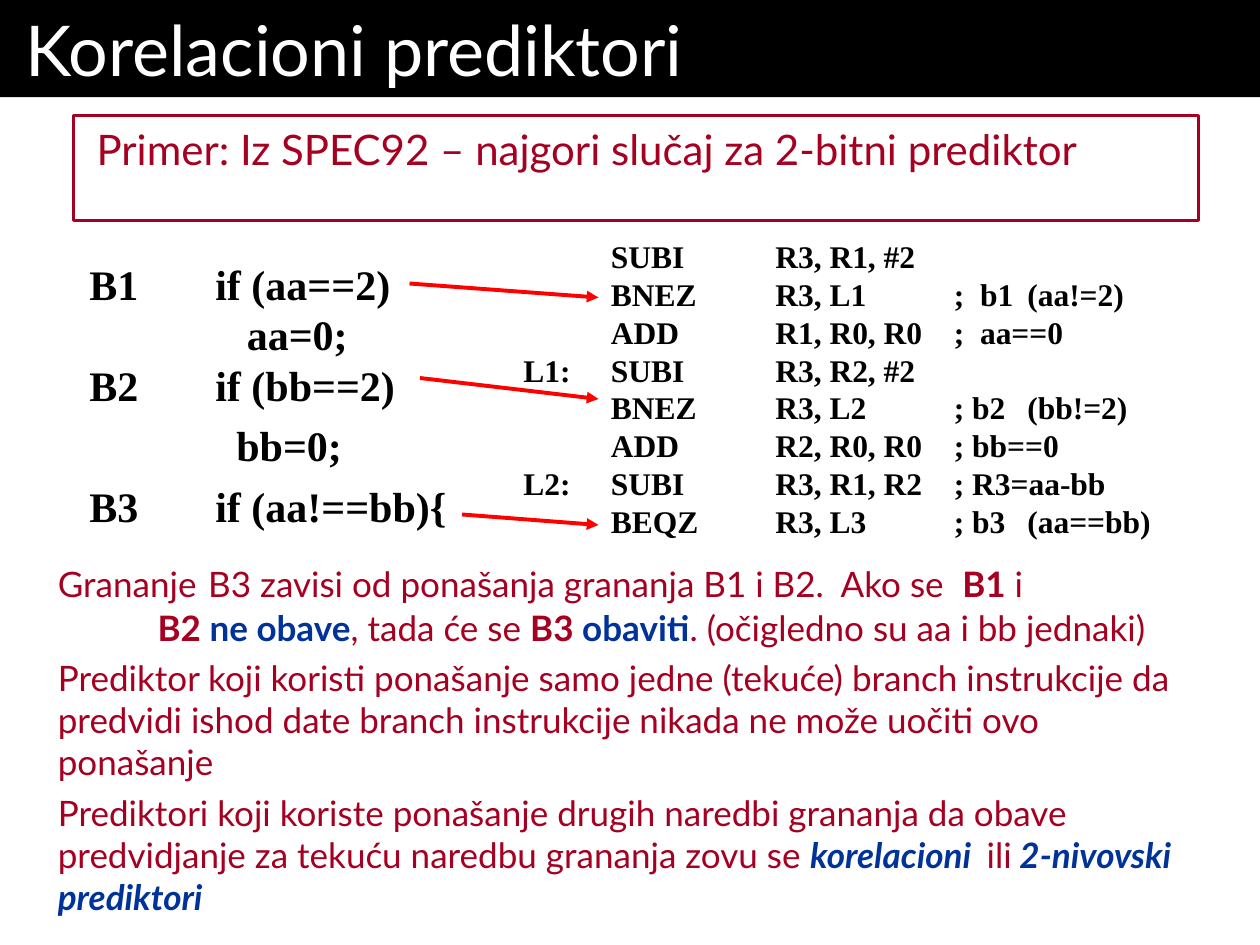
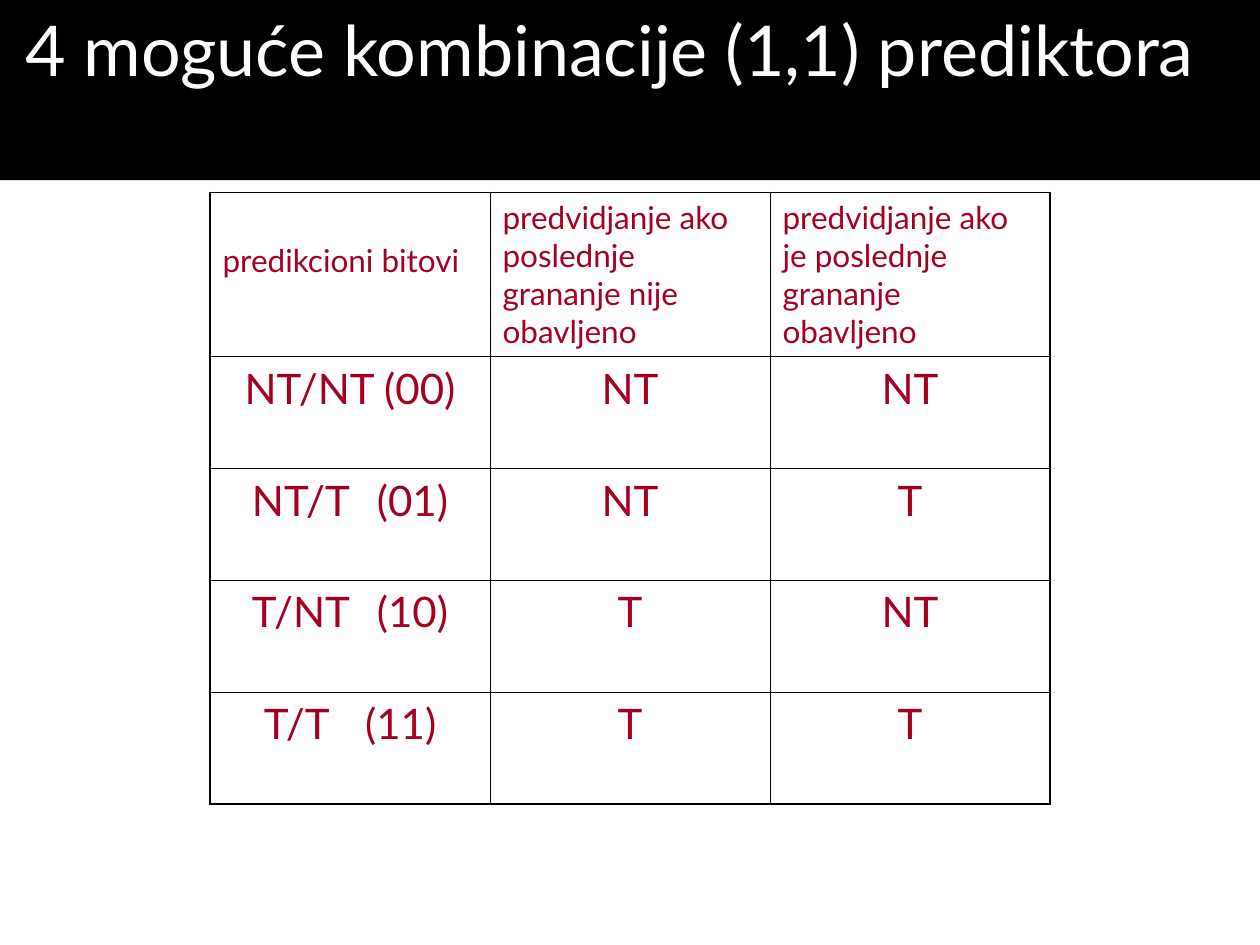
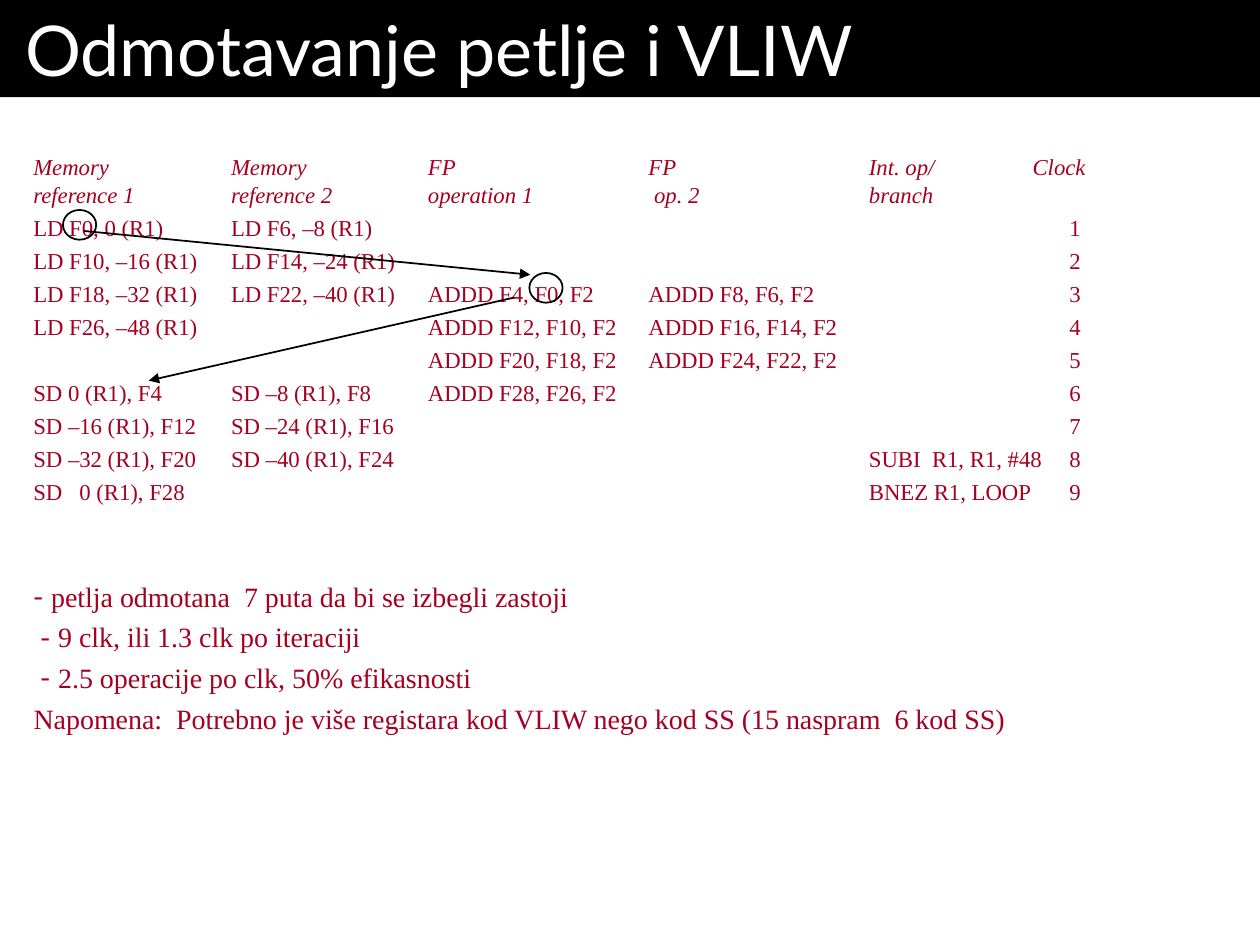
from dataclasses import dataclass, replace
from itertools import product

from lxml import etree
from pptx import Presentation
from pptx import util as u
from pptx.dml.color import RGBColor
from pptx.enum import shapes, text
from pptx.oxml import ns

COLORS = {
    "band": "000000",
    "title": "FFFFFF",
    "ink": "000000",
    "body": "A50021",
    "accent": "003399",
    "arrow": "FF0000",
}
SANS, SERIF = "Lato", "Times New Roman"
SERIF_LEADING = 1.2
OUTER_BORDER, INNER_BORDER = 1.08, 0.45
TITLE_ONLY, TITLE_AND_BODY = 5, 1


@dataclass(frozen=True)
class Style:
    size: float
    font: str = SANS
    color: str = "body"
    bold: bool = False
    italic: bool = False
    tracking: float = 0


@dataclass(frozen=True)
class Line:
    runs: tuple[tuple[str, Style], ...]
    before: float = 0
    spacing: float | None = None
    align: text.PP_ALIGN = text.PP_ALIGN.LEFT
    tabs: tuple[tuple[float, str], ...] = ()
    bullet: str = ""
    left: float = 0
    hanging: float = 0


@dataclass(frozen=True)
class Box:
    left: float
    top: float
    width: float
    height: float

    def lengths(self) -> tuple[u.Length, ...]:
        return tuple(u.Pt(n) for n in (self.left, self.top, self.width, self.height))


@dataclass(frozen=True)
class Arrow:
    start: tuple[float, float]
    end: tuple[float, float]
    color: str
    width: float


TITLE = Style(40, color="title")
LEAD = Style(24)
PLAIN = Style(20)
STRONG = replace(PLAIN, bold=True)
ACCENT = replace(STRONG, color="accent")
TERM = replace(ACCENT, italic=True)
SOURCE = Style(24, SERIF, "ink", bold=True)
ASSEMBLY = replace(SOURCE, size=18)
SCHEDULE = Style(13, SERIF)
SCHEDULE_HEAD = replace(SCHEDULE, italic=True)
REMARK = Style(16, SERIF)
TABLE_HEAD, TABLE_VALUE = Style(18), Style(24)


def rgb(name: str) -> RGBColor:
    return RGBColor.from_string(COLORS[name])


def serif_line(content: str, style: Style, **options) -> Line:
    return Line(((content, style),), spacing=style.size * SERIF_LEADING, **options)


def add_run(paragraph, content: str, style: Style) -> None:
    for index, part in enumerate(content.split("\n")):
        if index:
            paragraph.add_line_break()
        run = paragraph.add_run()
        run.text = part
        run.font.name = style.font
        run.font.size = u.Pt(style.size)
        run.font.bold = style.bold
        run.font.italic = style.italic
        run.font.color.rgb = rgb(style.color)
        if style.tracking:
            run._r.get_or_add_rPr().set("spc", str(round(style.tracking * 100)))


def set_list_format(paragraph, line: Line) -> None:
    properties = paragraph._p.get_or_add_pPr()
    properties.set("marL", str(u.Pt(line.left)))
    properties.set("indent", str(u.Pt(-line.hanging)))
    if line.bullet:
        etree.SubElement(properties, ns.qn("a:buFont"), typeface=line.runs[0][1].font)
        etree.SubElement(properties, ns.qn("a:buChar"), char=line.bullet)
    else:
        etree.SubElement(properties, ns.qn("a:buNone"))


def set_tabs(paragraph, tabs: tuple[tuple[float, str], ...]) -> None:
    stops = etree.SubElement(paragraph._p.get_or_add_pPr(), ns.qn("a:tabLst"))
    for position, side in tabs:
        etree.SubElement(stops, ns.qn("a:tab"), pos=str(u.Pt(position)), algn=side)


def write(frame, lines: list[Line], listed: bool = False) -> None:
    for index, line in enumerate(lines):
        paragraph = frame.add_paragraph() if index else frame.paragraphs[0]
        if listed:
            set_list_format(paragraph, line)
        if line.tabs:
            set_tabs(paragraph, line.tabs)
        paragraph.alignment = line.align
        paragraph.space_before = u.Pt(line.before if index else 0)
        if line.spacing:
            paragraph.line_spacing = u.Pt(line.spacing)
        for content, style in line.runs:
            add_run(paragraph, content, style)


def place(shape, box: Box) -> None:
    shape.left, shape.top, shape.width, shape.height = box.lengths()


def fill_frame(shape, lines: list[Line], anchor=text.MSO_ANCHOR.TOP, listed: bool = False) -> None:
    frame = shape.text_frame
    frame.word_wrap = True
    frame.auto_size = text.MSO_AUTO_SIZE.NONE
    frame.vertical_anchor = anchor
    write(frame, lines, listed)


def add_text(slide, box: Box, lines: list[Line], anchor=text.MSO_ANCHOR.TOP) -> None:
    fill_frame(slide.shapes.add_textbox(*box.lengths()), lines, anchor)


def add_slide(presentation, layout: int, title: str, band_height: float = 55.5):
    slide = presentation.slides.add_slide(presentation.slide_layouts[layout])
    band = slide.shapes.title
    place(band, Box(0, 0, 720, band_height))
    band.fill.solid()
    band.fill.fore_color.rgb = rgb("band")
    fill_frame(band, [Line(((title, TITLE),))])
    band.text_frame.margin_left = band.text_frame.margin_right = u.Pt(14.4)
    return slide


def fill_body(slide, box: Box, lines: list[Line]) -> None:
    body = slide.placeholders[1]
    place(body, box)
    fill_frame(body, lines, listed=True)


def add_outline(slide, kind: shapes.MSO_SHAPE, box: Box, color: str, width: float) -> None:
    shape = slide.shapes.add_shape(kind, *box.lengths())
    shape.shadow.inherit = False
    shape.fill.background()
    shape.line.color.rgb = rgb(color)
    shape.line.width = u.Pt(width)


def add_arrow(slide, arrow: Arrow) -> None:
    ends = (u.Pt(n) for n in (*arrow.start, *arrow.end))
    connector = slide.shapes.add_connector(shapes.MSO_CONNECTOR.STRAIGHT, *ends)
    connector.line.color.rgb = rgb(arrow.color)
    connector.line.width = u.Pt(arrow.width)
    properties = connector._element.spPr
    etree.SubElement(properties.find(ns.qn("a:ln")), ns.qn("a:tailEnd"), type="triangle")
    etree.SubElement(properties, ns.qn("a:effectLst"))


def set_borders(cell, outer_sides: dict[str, bool]) -> None:
    properties = cell._tc.get_or_add_tcPr()
    for index, (side, outer) in enumerate(outer_sides.items()):
        width = u.Pt(OUTER_BORDER if outer else INNER_BORDER)
        border = etree.Element(ns.qn(f"a:{side}"), w=str(width))
        fill = etree.SubElement(border, ns.qn("a:solidFill"))
        etree.SubElement(fill, ns.qn("a:srgbClr"), val=COLORS["ink"])
        properties.insert(index, border)


def add_prediction_table(slide, box: Box, rows: list[tuple], head_height: float) -> None:
    row_count, column_count = len(rows), len(rows[0])
    table = slide.shapes.add_table(row_count, column_count, *box.lengths()).table
    table.first_row = table.horz_banding = False
    for column in table.columns:
        column.width = u.Pt(box.width / column_count)
    for index, row in enumerate(table.rows):
        value_height = (box.height - head_height) / (row_count - 1)
        row.height = u.Pt(value_height if index else head_height)
    for r, c in product(range(row_count), range(column_count)):
        cell = table.cell(r, c)
        cell.fill.background()
        align = text.PP_ALIGN.CENTER if r else text.PP_ALIGN.LEFT
        write(cell.text_frame, [Line(rows[r][c], align=align)])
        set_borders(cell, {
            "lnL": c == 0,
            "lnR": c == column_count - 1,
            "lnT": r == 0,
            "lnB": r == row_count - 1,
        })
    table.cell(0, 0).margin_top = u.Pt(28)


def build_correlation(presentation) -> None:
    slide = add_slide(presentation, TITLE_AND_BODY, "Korelacioni prediktori")
    example = "Primer: Iz SPEC92 – najgori slučaj za 2-bitni prediktor"
    fill_body(slide, Box(48, 70, 642, 392), [Line(((example, LEAD),))])
    slide.placeholders[1].text_frame.paragraphs[0].line_spacing = 0.9

    source = [
        ("B1\tif (aa==2)", 0),
        ("\t   aa=0;", 0),
        ("B2\tif (bb==2)", 0),
        ("\t  bb=0;", 6),
        ("B3\tif (aa!==bb){", 6),
    ]
    add_text(slide, Box(44, 144, 224, 192), [
        serif_line(content, SOURCE, before=before, tabs=((72, "l"),))
        for content, before in source
    ])

    assembly = [
        ("", "SUBI", "R3, R1, #2"),
        ("", "BNEZ", "R3, L1", ";  b1", "(aa!=2)"),
        ("", "ADD", "R1, R0, R0", ";  aa==0"),
        ("L1:", "SUBI", "R3, R2, #2"),
        ("", "BNEZ", "R3, L2", "; b2", "(bb!=2)"),
        ("", "ADD", "R2, R0, R0", "; bb==0"),
        ("L2:", "SUBI", "R3, R1, R2", "; R3=aa-bb"),
        ("", "BEQZ", "R3, L3", "; b3", "(aa==bb)"),
    ]
    columns = tuple((position, "l") for position in (50, 144, 246, 288))
    add_text(slide, Box(292, 132, 416, 204), [
        serif_line("\t".join(fields), ASSEMBLY, tabs=columns) for fields in assembly
    ])

    for start, end in [
        ((234, 162), (342, 170)),
        ((240, 216), (342, 228)),
        ((264, 294), (342, 300)),
    ]:
        add_arrow(slide, Arrow(start, end, "arrow", 2.25))
    add_outline(slide, shapes.MSO_SHAPE.RECTANGLE, Box(42, 66, 643, 60), "body", 1.5)

    add_text(slide, Box(26, 287, 664.5, 241), [
        Line((
            ("Grananje", PLAIN),
            (" ", replace(PLAIN, size=26)),
            ("B3 zavisi od ponašanja grananja B1 i B2.  Ako se  ", PLAIN),
            ("B1", STRONG),
            (" i\n\t", PLAIN),
            ("B2 ", STRONG),
            ("ne obave", ACCENT),
            (", tada će se ", PLAIN),
            ("B3 ", STRONG),
            ("obaviti", ACCENT),
            (". (očigledno su aa i bb jednaki)", PLAIN),
        ), tabs=((57, "l"),)),
        Line(((
            "Prediktor koji koristi ponašanje samo jedne (tekuće) branch instrukcije da "
            "predvidi ishod date branch instrukcije nikada ne može uočiti ovo ponašanje",
            PLAIN,
        ),), before=5),
        Line((
            ("Prediktori koji koriste ponašanje drugih naredbi grananja da obave "
             "predvidjanje za tekuću naredbu grananja zovu se ", PLAIN),
            ("korelacioni  ", TERM),
            ("ili", PLAIN),
            (" 2-nivovski prediktori", TERM),
        ), before=5),
    ], text.MSO_ANCHOR.BOTTOM)


def build_combinations(presentation) -> None:
    slide = add_slide(presentation, TITLE_ONLY, "4 moguće kombinacije (1,1) prediktora", 103)
    heads = (
        "predikcioni bitovi",
        "predvidjanje ako poslednje grananje nije obavljeno",
        "predvidjanje ako je poslednje grananje obavljeno",
    )
    predictions = [
        ("NT/NT", "(00)", 0, "NT", "NT"),
        ("NT/T", "(01)", 9.25, "NT", "T"),
        ("T/NT", "(10)", 9.25, "T", "NT"),
        ("T/T", "(11)", 14, "T", "T"),
    ]
    rows = [tuple(((head, TABLE_HEAD),) for head in heads)]
    for states, bits, gap, not_taken, taken in predictions:
        spacer = replace(TABLE_VALUE, tracking=gap)
        label = ((states, TABLE_VALUE), (" ", spacer), (bits, TABLE_VALUE))
        rows.append((label, ((not_taken, TABLE_VALUE),), ((taken, TABLE_VALUE),)))
    add_prediction_table(slide, Box(120, 110, 480, 349.6), rows, 93.6)


def build_unrolling(presentation) -> None:
    slide = add_slide(presentation, TITLE_AND_BODY, "Odmotavanje petlje i VLIW")
    columns = tuple((position, "l") for position in (113, 225.5, 351.5, 477.5))
    heads = [
        ("Memory", "Memory", "FP", "FP", "Int. op/", "Clock"),
        ("reference 1", "reference 2", "operation 1", " op. 2", "branch"),
    ]
    schedule = [
        ("LD F0, 0 (R1)", "LD F6, –8 (R1)", "", "", ""),
        ("LD F10, –16 (R1)", "LD F14, –24 (R1)", "", "", ""),
        ("LD F18, –32 (R1)", "LD F22, –40 (R1)", "ADDD F4, F0, F2", "ADDD F8, F6, F2", ""),
        ("LD F26, –48 (R1)", "", "ADDD F12, F10, F2", "ADDD F16, F14, F2", ""),
        ("", "", "ADDD F20, F18, F2", "ADDD F24, F22, F2", ""),
        ("SD 0 (R1), F4", "SD –8 (R1), F8", "ADDD F28, F26, F2", "", ""),
        ("SD –16 (R1), F12", "SD –24 (R1), F16", "", "", ""),
        ("SD –32 (R1), F20", "SD –40 (R1), F24", "", "", "SUBI  R1, R1, #48"),
        ("SD   0 (R1), F28", "", "", "", "BNEZ R1, LOOP"),
    ]
    head_text = "\n".join("\t".join(fields) for fields in heads)
    lines = [serif_line(head_text, SCHEDULE_HEAD, tabs=(*columns, (571, "l")))]
    lines += [
        serif_line("\t".join((*fields, str(clock))), SCHEDULE, before=3.3,
                   tabs=(*columns, (598.5, "r")))
        for clock, fields in enumerate(schedule, 1)
    ]
    add_text(slide, Box(12, 84, 664, 220), lines)

    remarks = [
        serif_line(content, REMARK, before=4, bullet="-", left=left, hanging=10)
        for content, left in [
            ("petlja odmotana  7 puta da bi se izbegli zastoji", 10),
            ("9 clk, ili 1.3 clk po iteraciji", 14),
            ("2.5 operacije po clk, 50% efikasnosti", 14),
        ]
    ]
    note = "Napomena:  Potrebno je više registara kod VLIW nego kod SS (15 naspram  6 kod SS)"
    remarks.append(serif_line(note, REMARK, before=4))
    fill_body(slide, Box(12, 327.5, 664, 165.5), remarks)

    for start, end in [((48, 132), (303, 157)), ((294, 170), (85, 217.5))]:
        add_arrow(slide, Arrow(start, end, "ink", 1))
    for left, top in [(36, 120), (302.5, 156)]:
        add_outline(slide, shapes.MSO_SHAPE.OVAL, Box(left, top, 19, 17), "ink", 1)


def main() -> None:
    presentation = Presentation()
    presentation.slide_width, presentation.slide_height = u.Pt(720), u.Pt(540)
    build_correlation(presentation)
    build_combinations(presentation)
    build_unrolling(presentation)
    presentation.save("out.pptx")


if __name__ == "__main__":
    main()
